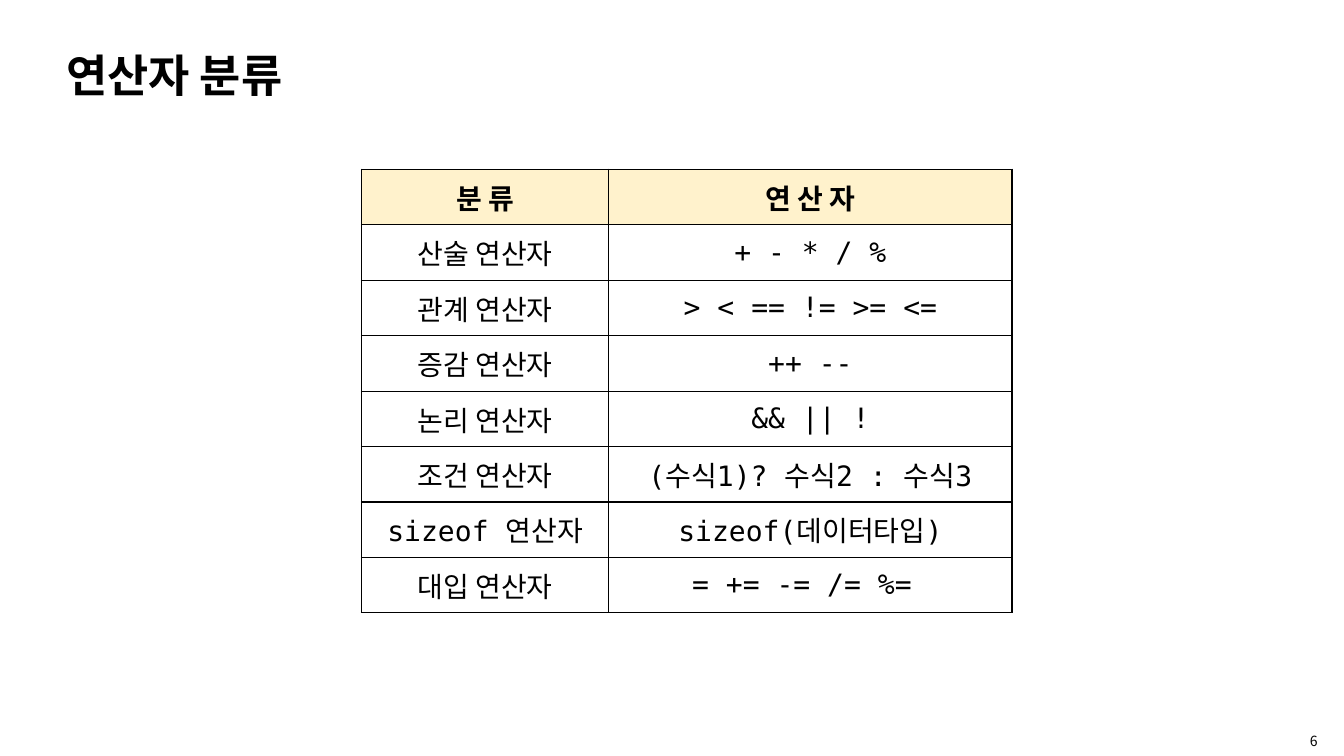
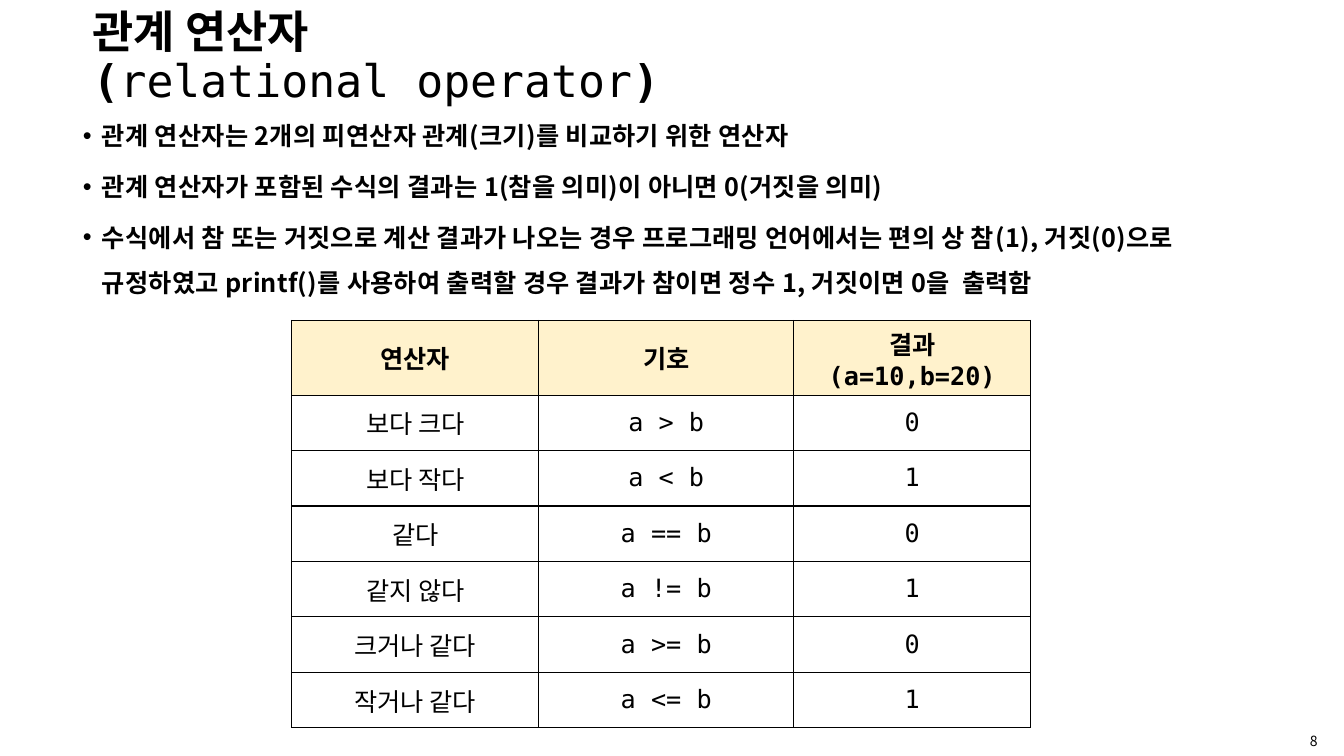
"""Build two slides on C operators, each with a table."""
from lxml import etree
from pptx import Presentation
from pptx.dml.color import RGBColor
from pptx.enum.text import MSO_ANCHOR, PP_ALIGN
from pptx.oxml.ns import qn
from pptx.util import Inches, Pt

MID, TOP = MSO_ANCHOR.MIDDLE, MSO_ANCHOR.TOP
LEFT, CENTER = PP_ALIGN.LEFT, PP_ALIGN.CENTER
BLACK = RGBColor(0x00, 0x00, 0x00)
CREAM = RGBColor(0xFF, 0xF2, 0xCC)
MONO, SANS, HEAVY = "DejaVu Sans Mono", "Noto Sans CJK KR", "Noto Sans CJK TC"
HARD = chr(160)

WIDE, HIGH = Inches(13.33), Inches(7.5)
X, Y = WIDE / 100, HIGH / 100
ROW = Inches(0.55)
EDGE = Pt(1)

TITLE = {"size": Pt(32), "bold": True}
BODY = {"size": Pt(18), "bold": True, "name": SANS}
FOOT = {"size": Pt(10), "bold": False, "name": SANS}
FOOT_AT = (94, 96.4, 7.5, 3.3)
TIGHT = {"alignment": LEFT, "line_spacing": 0.9}
LOOSE = {"alignment": LEFT, "line_spacing": 1.5, "space_before": Pt(3.8)}
MIDDLE = {"alignment": CENTER}

SLIDES = [
    {
        "page": "6",
        "title": [(" 연산자 분류", {"name": HEAVY})],
        "title_at": (3.42, 4.95, 69.2, 10.7),
        "notes": [],
        "corner": (26.9, 22.4),
        "cols": [18.4, 30],
        "head": ROW,
        "size": Pt(20),
        "pad": Inches(0.1),
        "rows": [
            ("분 류", "연 산 자"),
            ("산술 연산자", "+ - * / %"),
            ("관계 연산자", "> < == != >= <="),
            ("증감 연산자", "++ --"),
            ("논리 연산자", "&& || !"),
            ("조건 연산자", "(수식1)? 수식2 : 수식3"),
            ("sizeof 연산자", "sizeof(데이터타입)"),
            ("대입 연산자", "= += -= /= %= "),
        ],
    },
    {
        "page": "8",
        "title": [
            ("관계 연산자(", {"name": MONO}),
            (f"relational{HARD}operator", {"name": MONO, "bold": False}),
            (")", {"name": MONO}),
        ],
        "title_at": (6.15, 3, 56.4, 9.5),
        "notes": [
            "관계 연산자는 2개의 피연산자 관계(크기)를 비교하기 위한 연산자",
            "관계 연산자가 포함된 수식의 결과는 1(참을 의미)이 아니면 0(거짓을 의미)",
            "수식에서 참 또는 거짓으로 계산 결과가 나오는 경우 프로그래밍 언어에서는 "
            "편의 상 참(1), 거짓(0)으로 규정하였고 printf()를 사용하여 출력할 경우 "
            "결과가 참이면 정수 1, 거짓이면 0을  출력함",
        ],
        "notes_at": (2.65, 13.3, 92.2, 28.9),
        "corner": (21.7, 42.4),
        "cols": [18.4, 18.95, 17.65],
        "head": Inches(0.74),
        "size": Pt(18),
        "pad": Inches(0.15),
        "rows": [
            ("연산자", "기호", "결과(a=10,b=20)"),
            ("보다 크다", "a > b", "0"),
            ("보다 작다", "a < b", "1"),
            ("같다", "a == b", "0"),
            ("같지 않다", "a != b", "1"),
            ("크거나 같다", "a >= b", "0"),
            ("작거나 같다", "a <= b", "1"),
        ],
    },
]


def write(para, runs, look, form):
    for key, value in form.items():
        setattr(para, key, value)
    for text, extra in runs:
        run = para.add_run()
        run.text = text
        run.font.color.rgb = BLACK
        for key, value in {**look, **extra}.items():
            setattr(run.font, key, value)
        face = HEAVY if run.font.name == HEAVY else SANS
        etree.SubElement(run.font._element, qn("a:ea"), typeface=face)


def frame(slide, share, anchor):
    left, top, width, height = share
    box = slide.shapes.add_textbox(
        int(X * left), int(Y * top), int(X * width), int(Y * height))
    box.text_frame.word_wrap = True
    box.text_frame.vertical_anchor = anchor
    return box.text_frame


deck = Presentation()
deck.slide_width, deck.slide_height = WIDE, HIGH

for data in SLIDES:
    slide = deck.slides.add_slide(deck.slide_layouts[6])
    title = frame(slide, data["title_at"], MID)
    write(title.paragraphs[0], data["title"], TITLE, TIGHT)
    foot = frame(slide, FOOT_AT, MID)
    write(foot.paragraphs[0], [(data["page"], {})], FOOT, MIDDLE)

    if data["notes"]:
        body = frame(slide, data["notes_at"], TOP)
        for i, note in enumerate(data["notes"]):
            para = body.add_paragraph() if i else body.paragraphs[0]
            write(para, [(note, {})], BODY, LOOSE)
            para.runs[0].font._element.set("spc", "20")
            props = para._p.get_or_add_pPr()
            props.set("marL", str(Inches(0.56)))
            props.set("indent", str(Inches(-0.19)))
            etree.SubElement(props, qn("a:buFont"), typeface="Arial")
            etree.SubElement(props, qn("a:buChar"), char="•")

    rows, cols = data["rows"], data["cols"]
    left, top = data["corner"]
    table = slide.shapes.add_table(
        len(rows), len(cols), int(X * left), int(Y * top),
        int(X * sum(cols)), data["head"] + ROW * (len(rows) - 1)).table
    table.first_row = table.horz_banding = False
    for col, share in zip(table.columns, cols):
        col.width = int(X * share)
    for r, texts in enumerate(rows):
        table.rows[r].height = ROW if r else data["head"]
        look = {"size": data["size"], "bold": r == 0, "name": MONO}
        for c, text in enumerate(texts):
            cell = table.cell(r, c)
            cell.vertical_anchor = MID
            cell.margin_left = cell.margin_right = data["pad"]
            write(cell.text_frame.paragraphs[0], [(text, {})], look, MIDDLE)
            if r == 0:
                cell.fill.solid()
                cell.fill.fore_color.rgb = CREAM
            else:
                cell.fill.background()
            props = cell._tc.get_or_add_tcPr()
            for i, side in enumerate(("lnL", "lnR", "lnT", "lnB")):
                line = etree.Element(qn("a:" + side), w=str(EDGE))
                fill = etree.SubElement(line, qn("a:solidFill"))
                etree.SubElement(fill, qn("a:srgbClr"), val=str(BLACK))
                props.insert(i, line)

deck.save("out.pptx")
